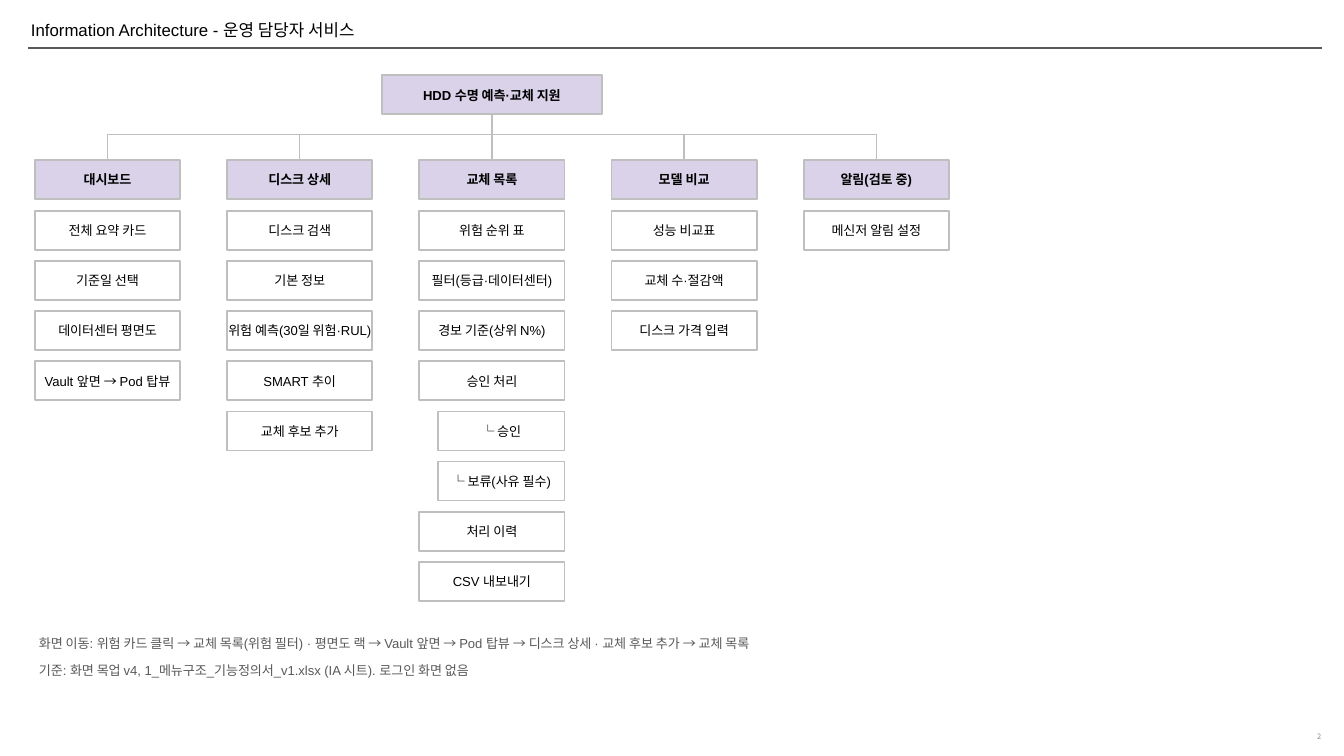
from dataclasses import dataclass

from lxml.etree import SubElement
from pptx import Presentation
from pptx.dml.color import RGBColor
from pptx.enum.shapes import MSO_CONNECTOR, MSO_SHAPE
from pptx.enum.text import MSO_ANCHOR as Anchor, PP_ALIGN as Align
from pptx.oxml.ns import qn
from pptx.util import Inches, Pt

BLACK = RGBColor(0x00, 0x00, 0x00)
DARK = RGBColor(0x59, 0x59, 0x59)
GRAY = RGBColor(0x88, 0x88, 0x88)
EDGE = RGBColor(0xBF, 0xBF, 0xBF)
LILAC = RGBColor(0xD9, 0xD2, 0xE9)
LATIN = "Arial"
HANGUL = "Noto Sans CJK KR"

PAGE_WIDTH = 10
PAGE_HEIGHT = PAGE_WIDTH * 9 / 16
LEFT, STEP, WIDTH, HEIGHT = 0.26, 1.43, 1.08, 0.29
ROOT_TOP, ROOT_WIDTH = 0.56, 1.64
BUS, HEAD_TOP = 1.0, 1.19
ITEM_TOP, ITEM_STEP = 1.57, 2.61 / 7
INDENT, BRANCH = 0.14, "└"


@dataclass
class Menu:
    name: str
    items: list[str]


@dataclass
class Box:
    left: float
    top: float
    width: float
    height: float = HEIGHT

    def place(self) -> tuple:
        return tuple(Inches(n) for n in
                     (self.left, self.top, self.width, self.height))


MENUS = [
    Menu("대시보드", ["전체 요약 카드", "기준일 선택", "데이터센터 평면도",
                  "Vault 앞면 → Pod 탑뷰"]),
    Menu("디스크 상세", ["디스크 검색", "기본 정보", "위험 예측(30일 위험·RUL)",
                    "SMART 추이", "교체 후보 추가"]),
    Menu("교체 목록", ["위험 순위 표", "필터(등급·데이터센터)", "경보 기준(상위 N%)",
                   "승인 처리", "└ 승인", "└ 보류(사유 필수)", "처리 이력",
                   "CSV 내보내기"]),
    Menu("모델 비교", ["성능 비교표", "교체 수·절감액", "디스크 가격 입력"]),
    Menu("알림(검토 중)", ["메신저 알림 설정"]),
]
NOTES = [
    "화면 이동: 위험 카드 클릭 → 교체 목록(위험 필터) · 평면도 랙 → Vault 앞면 → "
    "Pod 탑뷰 → 디스크 상세 · 교체 후보 추가 → 교체 목록",
    "기준: 화면 목업 v4, 1_메뉴구조_기능정의서_v1.xlsx (IA 시트). 로그인 화면 없음",
]


def write(shape, text: str, *, size: float = 7, color: RGBColor = BLACK,
          bold: bool = False, align: Align = Align.LEFT,
          anchor: Anchor = Anchor.MIDDLE, font: str = LATIN,
          pads: tuple = (0, 0, 0, 0)) -> None:
    """Fill a shape with one paragraph; pads run left, top, right, bottom."""
    frame = shape.text_frame
    frame.word_wrap = True
    frame.vertical_anchor = anchor
    (frame.margin_left, frame.margin_top,
     frame.margin_right, frame.margin_bottom) = map(Inches, pads)
    para = frame.paragraphs[0]
    para.alignment = align
    run = para.add_run()
    run.text = text
    run.font.name = font
    run.font.size = Pt(size)
    run.font.bold = bold
    run.font.color.rgb = color
    SubElement(run.font._element, qn("a:ea"), typeface=HANGUL)


def draw_line(slide, x1: float, y1: float, x2: float, y2: float,
              color: RGBColor = EDGE, width: float = 0.75) -> None:
    line = slide.shapes.add_connector(
        MSO_CONNECTOR.STRAIGHT, *map(Inches, (x1, y1, x2, y2)))
    line.line.color.rgb = color
    line.line.width = Pt(width)
    SubElement(line._element.spPr, qn("a:effectLst"))


def draw_node(slide, box: Box, text: str, head: bool = False) -> None:
    node = slide.shapes.add_shape(MSO_SHAPE.ROUNDED_RECTANGLE, *box.place())
    node.adjustments[0] = 0
    node.shadow.inherit = False
    if head:
        node.fill.solid()
        node.fill.fore_color.rgb = LILAC
    else:
        node.fill.background()
    node.line.color.rgb = EDGE
    node.line.width = Pt(1)
    write(node, text, bold=head, align=Align.CENTER)


def draw_menu(slide, menu: Menu, left: float) -> None:
    mid = left + WIDTH / 2
    draw_line(slide, mid, BUS, mid, HEAD_TOP)
    draw_node(slide, Box(left, HEAD_TOP, WIDTH), menu.name, head=True)
    for row, item in enumerate(menu.items):
        shift = INDENT if item.startswith(BRANCH) else 0
        box = Box(left + shift, ITEM_TOP + row * ITEM_STEP, WIDTH - shift)
        draw_node(slide, box, item)


def draw_tree(slide) -> None:
    lefts = [LEFT + STEP * col for col in range(len(MENUS))]
    mids = [left + WIDTH / 2 for left in lefts]
    mid = mids[len(mids) // 2]
    draw_node(slide, Box(mid - ROOT_WIDTH / 2, ROOT_TOP, ROOT_WIDTH),
              "HDD 수명 예측·교체 지원", head=True)
    draw_line(slide, mid, ROOT_TOP + HEIGHT, mid, BUS)
    draw_line(slide, mids[0], BUS, mids[-1], BUS)
    for menu, left in zip(MENUS, lefts):
        draw_menu(slide, menu, left)


def main() -> None:
    deck = Presentation()
    deck.slide_width = Inches(PAGE_WIDTH)
    deck.slide_height = Inches(PAGE_HEIGHT)
    slide = deck.slides.add_slide(deck.slide_layouts[5])

    title = slide.shapes.title
    title.left, title.top, title.width, title.height = Box(
        0.23, 0.11, 4.39, 0.23).place()
    write(title, "Information Architecture - 운영 담당자 서비스", size=9,
          anchor=Anchor.TOP, pads=(0, 0.04, 0.07, 0.04))
    draw_line(slide, 0.21, 0.36, 9.84, 0.36, DARK, 1)

    draw_tree(slide)
    for row, note in enumerate(NOTES):
        box = Box(LEFT, 4.72 + 0.2 * row, 8.33, 0.14)
        write(slide.shapes.add_textbox(*box.place()), note, color=DARK,
              pads=(0.03, 0.01, 0.03, 0.01))

    page = slide.shapes.add_textbox(*Box(9.37, 5.37, 0.46, 0.18).place())
    write(page, "2", size=4, color=GRAY, font=HANGUL, align=Align.RIGHT,
          anchor=Anchor.BOTTOM, pads=(0.07, 0.04, 0, 0.04))
    deck.save("out.pptx")


if __name__ == "__main__":
    main()
